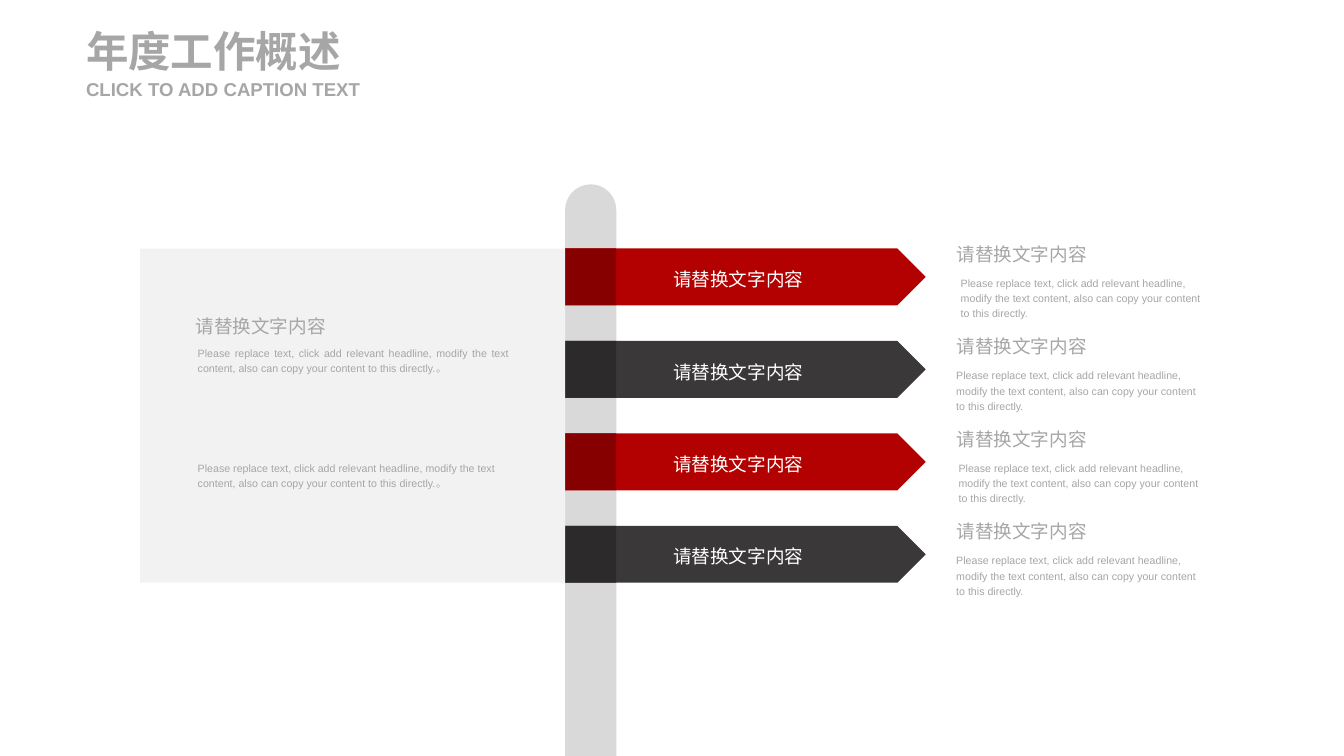
from pptx import Presentation
from pptx import util as u
from pptx.dml.color import RGBColor
from pptx.enum import shapes, text

HEADLINE = "请替换文字内容"
BODY = ("Please replace text, click add relevant headline, modify the text content, "
        "also can copy your content to this directly.")
GRAY = "A6A6A6"


def add_block(kind, left, top, width, height, fill):
    shape = slide.shapes.add_shape(kind, u.Pt(left), u.Pt(top), u.Pt(width), u.Pt(height))
    shape.shadow.inherit = False
    shape.fill.solid()
    shape.fill.fore_color.rgb = RGBColor.from_string(fill)
    shape.line.fill.background()
    return shape


def write(shape, words, size, color=GRAY, align=text.PP_ALIGN.LEFT, spacing=1.2, bold=False):
    frame = shape.text_frame
    frame.word_wrap = True
    frame.text = words
    paragraph = frame.paragraphs[0]
    paragraph.alignment = align
    paragraph.line_spacing = spacing
    paragraph.space_before = u.Pt(0)
    paragraph.font.name = "Arial"
    paragraph.font.size = u.Pt(size)
    paragraph.font.bold = bold
    paragraph.font.color.rgb = RGBColor.from_string(color)


presentation = Presentation()
presentation.slide_width = u.Pt(1012.5)
presentation.slide_height = u.Pt(569.5)
slide = presentation.slides.add_slide(presentation.slide_layouts[0])

# Title and caption
title, caption = slide.placeholders
for shape, words, size, top, height in [
    (title, "年度工作概述", 32, 18.9, 38.8),
    (caption, "CLICK TO ADD CAPTION TEXT", 14, 58.5, 17),
]:
    shape.left, shape.top = u.Pt(64.8), u.Pt(top)
    shape.width, shape.height = u.Pt(221), u.Pt(height)
    frame = shape.text_frame
    frame.margin_left = frame.margin_right = frame.margin_top = frame.margin_bottom = 0
    frame.vertical_anchor = text.MSO_ANCHOR.MIDDLE
    frame.auto_size = text.MSO_AUTO_SIZE.NONE
    write(shape, words, size, spacing=1.0, bold=True)

# Signpost pole
pole_left, pole_width = 425.8, 38.5
first_top, row_step, arrow_height = 187.2, 69.67, 42.8
pole = add_block(shapes.MSO_SHAPE.ROUND_2_SAME_RECTANGLE,
                 pole_left, 138.9, pole_width, 430.6, "D9D9D9")
pole.adjustments[0] = 0.5

# Arrow signs with a darker fold over the pole
sign_colors = [("B30000", "860000"), ("3A3838", "2C2A2A")]
for row in range(4):
    top = first_top + row * row_step
    sign_color, fold_color = sign_colors[row % 2]
    sign = add_block(shapes.MSO_SHAPE.PENTAGON, pole_left, top, 271.6, arrow_height, sign_color)
    sign.text_frame.vertical_anchor = text.MSO_ANCHOR.MIDDLE
    write(sign, HEADLINE, 14, "FFFFFF", text.PP_ALIGN.CENTER)
    add_block(shapes.MSO_SHAPE.RECTANGLE, pole_left, top, pole_width, arrow_height, fold_color)

# Left panel
add_block(shapes.MSO_SHAPE.RECTANGLE, 105.6, first_top, pole_left - 105.6,
          3 * row_step + arrow_height, "F2F2F2")

# Panel texts: left, top, width, height, words, size, alignment
left, justify = text.PP_ALIGN.LEFT, text.PP_ALIGN.JUSTIFY
notes = [
    (140.2, 230.2, 121, 26, HEADLINE, 14, left),
    (141.9, 255.6, 249, 29.5, BODY + "。", 8, justify),
    (141.9, 342.5, 249, 29.5, BODY + "。", 8, left),
]

# Descriptions beside the arrows
for row, body_left in enumerate([716.7, 713.3, 715.1, 713.3]):
    top = 175.8 + row * row_step
    notes.append((713.5, top, 117, 26, HEADLINE, 14, left))
    notes.append((body_left, top + 27.3, 196.6, 41, BODY, 8, left))

for note_left, top, width, height, words, size, align in notes:
    box = slide.shapes.add_textbox(u.Pt(note_left), u.Pt(top), u.Pt(width), u.Pt(height))
    write(box, words, size, align=align)

presentation.save("out.pptx")
